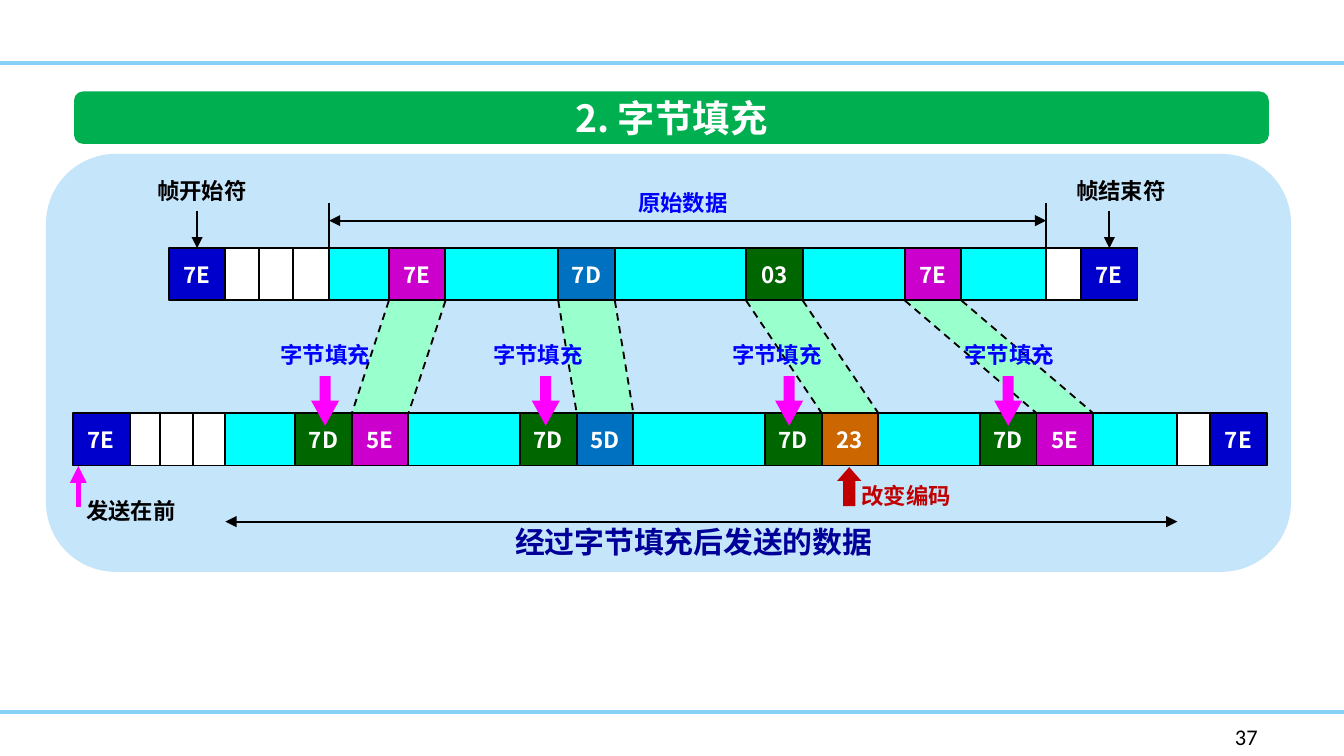
from collections import namedtuple
from itertools import pairwise

from lxml.etree import SubElement
from pptx import Presentation
from pptx.dml.color import RGBColor
from pptx.enum.dml import MSO_LINE_DASH_STYLE as Dash
from pptx.enum.shapes import MSO_CONNECTOR_TYPE as Link, MSO_SHAPE as Shape
from pptx.enum.text import MSO_ANCHOR as Anchor, MSO_AUTO_SIZE as AutoSize, PP_ALIGN as Align
from pptx.oxml.ns import qn
from pptx.util import Cm, Pt

Box = namedtuple("Box", "left top width height")
Row = namedtuple("Row", "blanks data_end values")
Stuffing = namedtuple("Stuffing", "source stuffed label arrow")

FONT = "Noto Sans CJK SC"
BLACK, WHITE, BLUE, RED = "000000", "FFFFFF", "0000FF", "C00000"
NAVY, CYAN, GREEN, PURPLE = "0000CC", "00FFFF", "006600", "CC00CC"
STEEL, ORANGE, PINK, MINT = "0070C0", "CC6600", "FF00FF", "99FFCC"
BYTE = 1.07

STUFFINGS = [
    Stuffing(4.16, 4.2, 3.67, 4.5),
    Stuffing(7.36, 8.45, 7.69, 8.67),
    Stuffing(10.91, 13.08, 12.21, 13.27),
    Stuffing(13.91, 17.14, 16.6, 17.41),
]
SOURCES = [("7E", PURPLE), ("7D", STEEL), ("03", GREEN), ("7E", PURPLE)]
REPLACEMENTS = [("5E", PURPLE), ("5D", STEEL), ("23", ORANGE), ("5E", PURPLE)]

ORIGINAL_ROW = Row(
    [BYTE, 1.71, 2.35, 3.03], 16.58,
    [(item.source, *value) for item, value in zip(STUFFINGS, SOURCES)])
SENT_ROW = Row(
    [BYTE, 1.64, 2.27, 2.88], 20.87,
    [cell for item, value in zip(STUFFINGS, REPLACEMENTS)
     for cell in ((item.stuffed, "7D", GREEN), (item.stuffed + BYTE, *value))])


def color(value):
    return RGBColor.from_string(value)


def lengths(box):
    return [Cm(value) for value in box]


def write(shape, text, size=12, fill=BLACK, bold=True, font=FONT,
          align=Align.LEFT, anchor=Anchor.TOP, wrap=False):
    frame = shape.text_frame
    frame.word_wrap = wrap
    frame.auto_size = AutoSize.NONE
    frame.vertical_anchor = anchor
    para = frame.paragraphs[0]
    para.alignment = align
    span = para.add_run()
    span.text = text
    span.font.size = Pt(size)
    span.font.bold = bold
    span.font.color.rgb = color(fill)
    span.font.name = font
    SubElement(span._r.get_or_add_rPr(), qn("a:ea"), typeface=font)


def add_label(page, box, text, **style):
    write(page.shapes.add_textbox(*lengths(box)), text, **style)


def paint(shape, fill, line=None):
    shape.shadow.inherit = False
    shape.fill.solid()
    shape.fill.fore_color.rgb = color(fill)
    if line:
        shape.line.color.rgb = color(line)
        shape.line.width = Pt(1)
    else:
        shape.line.fill.background()


def add_block(page, box, fill, kind=Shape.RECTANGLE, line=None, adjust=()):
    shape = page.shapes.add_shape(kind, *lengths(box))
    paint(shape, fill, line)
    for index, value in enumerate(adjust):
        shape.adjustments[index] = value
    return shape


def add_line(page, start, end, fill=BLACK, width=1, dash=None, heads=()):
    line = page.shapes.add_connector(Link.STRAIGHT, *lengths(start + end))
    line.line.color.rgb = color(fill)
    line.line.width = Pt(width)
    if dash:
        line.line.dash_style = dash
    for head in heads:
        SubElement(line.line._get_or_add_ln(), qn(f"a:{head}"), type="triangle")
    SubElement(line._element.spPr, qn("a:effectLst"))
    return line


def draw_page_frame(page, box):
    for top in (1.19, 13.46):
        add_line(page, (box.left, box.top + top),
                 (box.left + box.width, box.top + top), fill="85D1F7", width=2)
    add_label(page, Box(box.left + 23.09, box.top + 13.54, 1.65, 0.76), "37",
              bold=False, font="Calibri", wrap=True)


def draw_title(page, box):
    add_block(page, box, "00B050", Shape.ROUNDED_RECTANGLE, adjust=[0.17])
    title = page.shapes.title
    title.left, title.top, title.width, title.height = lengths(box)
    write(title, "2. 字节填充", size=20, fill=WHITE,
          align=Align.CENTER, anchor=Anchor.MIDDLE)
    page.shapes._spTree.append(title._element)


def draw_bands(page, upper, lower):
    top, bottom = upper.top + upper.height, lower.top
    for item in STUFFINGS:
        source = upper.left + item.source
        target = lower.left + item.stuffed + BYTE
        corners = [(source, top), (source + BYTE, top),
                   (target + BYTE, bottom), (target, bottom)]
        points = [(Cm(x), Cm(y)) for x, y in corners]
        outline = page.shapes.build_freeform(*points[0])
        outline.add_line_segments(points[1:])
        paint(outline.convert_to_shape(), MINT)
        for shift in (0, BYTE):
            add_line(page, (source + shift, top), (target + shift, bottom),
                     dash=Dash.DASH)


def draw_row(page, box, row):
    def cell(left, right, fill, text=None):
        shape = add_block(page, Box(box.left + left, box.top, right - left, box.height),
                          fill, line=BLACK)
        if text:
            write(shape, text, fill=WHITE, align=Align.CENTER, anchor=Anchor.MIDDLE)
        return shape

    end_flag = box.width - BYTE
    cell(row.blanks[-1], row.data_end, CYAN)
    for left, right in [*pairwise(row.blanks), (row.data_end, end_flag)]:
        cell(left, right, WHITE)
    for left, text, fill in row.values:
        cell(left, left + BYTE, fill, text)
    return [cell(left, left + BYTE, NAVY, "7E") for left in (0, end_flag)]


def annotate_original(page, box, row, flags):
    left, top = box.left, box.top
    names = [("帧开始符", -0.47), ("帧结束符", 16.9)]
    for flag, (name, shift) in zip(flags, names):
        add_label(page, Box(left + shift, top - 1.46, 2.24, 0.76), name)
        middle = (flag.left + flag.width / 2) / Cm(1)
        arrow = add_line(page, (middle, top - 0.7), (middle, top), heads=["tailEnd"])
        arrow.end_connect(flag, 0)
    start, end = left + row.blanks[-1], left + row.data_end
    for x in (start, end):
        add_line(page, (x, top - 0.85), (x, top))
    add_line(page, (start, top - 0.52), (end, top - 0.52), heads=["headEnd", "tailEnd"])
    add_label(page, Box(left + 8.62, top - 1.24, 2.24, 0.76), "原始数据", fill=BLUE)


def annotate_sent(page, box, row):
    left, top = box.left, box.top
    for item in STUFFINGS:
        add_label(page, Box(left + item.label, top - 1.49, 2.24, 0.76), "字节填充", fill=BLUE)
        add_block(page, Box(left + item.arrow, top - 0.7, 0.53, 0.94), PINK,
                  Shape.DOWN_ARROW, adjust=[0.39, 0.9])
    add_line(page, (left + 0.1, top + 1.77), (left + 0.1, top + 1),
             fill=PINK, width=3, heads=["tailEnd"])
    add_label(page, Box(left, top + 1.46, 2.36, 0.76), "发送在前", wrap=True)
    add_line(page, (left + row.blanks[-1], top + 2.05), (left + row.data_end, top + 2.05),
             heads=["headEnd", "tailEnd"])
    add_label(page, Box(left + 7.48, top + 1.97, 8.51, 0.94), "经过字节填充后发送的数据",
              size=16, fill="000099", align=Align.CENTER, wrap=True)
    add_block(page, Box(left + 14.44, top + 1.02, 0.46, 0.74), RED,
              Shape.UP_ARROW, adjust=[0.5, 0.57])
    add_label(page, Box(left + 14.65, top + 1.18, 2.24, 0.76), "改变编码", fill=RED)


def draw_diagram(page, box):
    add_block(page, box, "C5E5FB", Shape.ROUNDED_RECTANGLE)
    upper = Box(box.left + 2.32, box.top + 1.78, 18.31, 0.99)
    lower = Box(box.left + 0.51, box.top + 4.9, 22.56, 0.99)
    draw_bands(page, upper, lower)
    flags = draw_row(page, upper, ORIGINAL_ROW)
    draw_row(page, lower, SENT_ROW)
    annotate_original(page, upper, ORIGINAL_ROW, flags)
    annotate_sent(page, lower, SENT_ROW)


def main():
    deck = Presentation()
    deck.slide_width, deck.slide_height = Cm(25.4), Cm(14.29)
    page = deck.slides.add_slide(deck.slide_layouts.get_by_name("Title Only"))
    draw_page_frame(page, Box(0, 0, 25.4, 14.29))
    draw_title(page, Box(1.4, 1.73, 22.58, 0.99))
    draw_diagram(page, Box(0.87, 2.91, 23.53, 7.9))
    deck.save("out.pptx")


if __name__ == "__main__":
    main()
